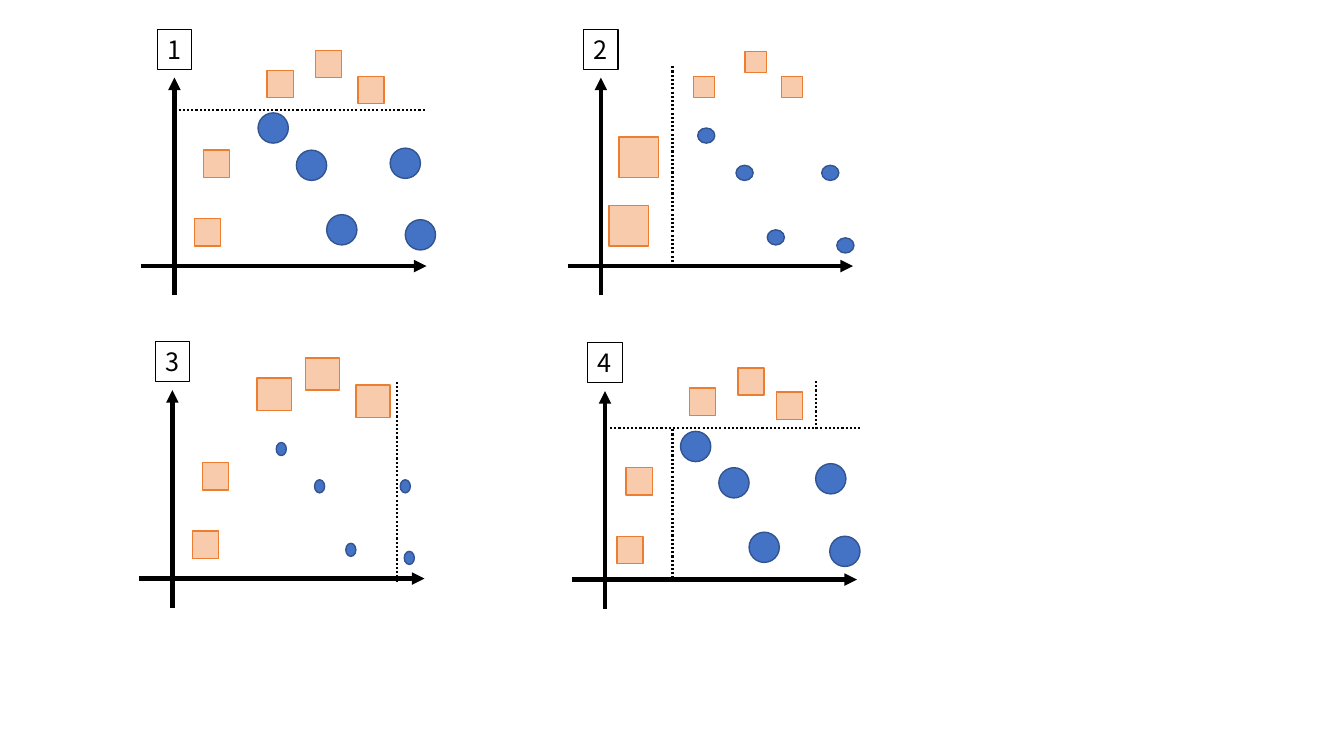
import pptx
import pptx.util
import pptx.dml.color
import pptx.enum.dml
import pptx.enum.shapes
import pptx.enum.text
import pptx.oxml.ns
import lxml.etree

RGBColor = pptx.dml.color.RGBColor
BLACK = RGBColor(0x00, 0x00, 0x00)
BLUE = RGBColor(0x44, 0x72, 0xC4)
NAVY = RGBColor(0x32, 0x54, 0x91)
PEACH = RGBColor(0xF8, 0xCB, 0xAD)
ORANGE = RGBColor(0xED, 0x7D, 0x31)

WIDTH = pptx.util.Inches(13.33)
HEIGHT = pptx.util.Inches(7.5)
COLS, ROWS = 1333, 750

OVAL = pptx.enum.shapes.MSO_SHAPE.OVAL
SQUARE = pptx.enum.shapes.MSO_SHAPE.RECTANGLE
DOT = (OVAL, BLUE, NAVY)
BOX = (SQUARE, PEACH, ORANGE)

# Each panel: label, origin, split lines, then marks as (style, size, spots).
PANELS = [
    ("1", (173, 264), [(0, 155, 250, 155)], [
        (DOT, (30, 30), [(83, 152), (229, 46), (151, 51), (121, 115), (214, 117)]),
        (BOX, (26, 27), [(20, 47), (140, 214), (182, 188), (92, 194), (29, 115)]),
    ]),
    ("2", (596, 264), [(71, 0, 71, 200)], [
        (DOT, (17, 15), [(96, 137), (234, 28), (165, 36), (134, 100), (219, 100)]),
        (BOX, (39, 40), [(8, 60), (18, 128)]),
        (BOX, (21, 21), [(92, 188), (143, 213), (179, 188)]),
    ]),
    ("3", (171, 574), [(223, -3, 223, 197)], [
        (DOT, (10, 13), [(103, 135), (230, 27), (172, 35), (141, 98), (226, 98)]),
        (BOX, (26, 27), [(20, 47), (30, 115)]),
        (BOX, (34, 32), [(132, 219), (182, 192), (84, 199)]),
    ]),
    ("4", (600, 575), [(209, 149, 209, 198), (5, 150, 255, 150), (67, 1, 67, 149)], [
        (DOT, (30, 30), [(75, 147), (223, 43), (143, 47), (113, 111), (209, 115)]),
        (BOX, (26, 27), [(12, 43), (132, 210), (170, 186), (84, 190), (21, 111)]),
    ]),
]


def col(n):
    return round(WIDTH * n / COLS)


def row(n):
    return round(HEIGHT * n / ROWS)


def place(base, x, y):
    return col(base[0] + x), row(base[1] - y)


def add_line(slide, base, ends, width):
    x1, y1, x2, y2 = ends
    kind = pptx.enum.shapes.MSO_CONNECTOR.STRAIGHT
    line = slide.shapes.add_connector(kind, *place(base, x1, y1), *place(base, x2, y2))
    line.line.color.rgb = BLACK
    line.line.width = pptx.util.Pt(width)
    props = line._element.spPr
    lxml.etree.SubElement(props, pptx.oxml.ns.qn("a:effectLst"))
    return line


def add_axis(slide, base, ends):
    line = add_line(slide, base, ends, 3)
    stroke = line.line._get_or_add_ln()
    lxml.etree.SubElement(stroke, pptx.oxml.ns.qn("a:tailEnd"), type="triangle")


def add_split(slide, base, ends):
    line = add_line(slide, base, ends, 1.5)
    line.line.dash_style = pptx.enum.dml.MSO_LINE.ROUND_DOT


def add_mark(slide, base, style, size, spot):
    form, fill, edge = style
    mark = slide.shapes.add_shape(form, *place(base, *spot), col(size[0]), row(size[1]))
    mark.shadow.inherit = False
    mark.fill.solid()
    mark.fill.fore_color.rgb = fill
    mark.line.color.rgb = edge
    mark.line.width = pptx.util.Pt(1)


def add_label(slide, base, text):
    label = slide.shapes.add_textbox(*place(base, -17, 235), col(34), row(40))
    label.line.color.rgb = BLACK
    label.line.width = pptx.util.Pt(0.75)
    frame = label.text_frame
    frame.text = text
    frame.word_wrap = False
    frame.auto_size = pptx.enum.text.MSO_AUTO_SIZE.SHAPE_TO_FIT_TEXT
    font = frame.paragraphs[0].runs[0].font
    font.size = pptx.util.Pt(18)
    font.name = "Noto Sans CJK JP"
    font.color.rgb = BLACK


def add_panel(slide, text, base, splits, groups):
    add_axis(slide, base, (-33, 0, 250, 0))
    add_axis(slide, base, (0, -29, 0, 187))
    add_label(slide, base, text)
    for ends in splits:
        add_split(slide, base, ends)
    for style, size, spots in groups:
        for spot in spots:
            add_mark(slide, base, style, size, spot)


def main():
    deck = pptx.Presentation()
    deck.slide_width = WIDTH
    deck.slide_height = HEIGHT
    slide = deck.slides.add_slide(deck.slide_layouts[6])
    for panel in PANELS:
        add_panel(slide, *panel)
    deck.save("out.pptx")


if __name__ == "__main__":
    main()
